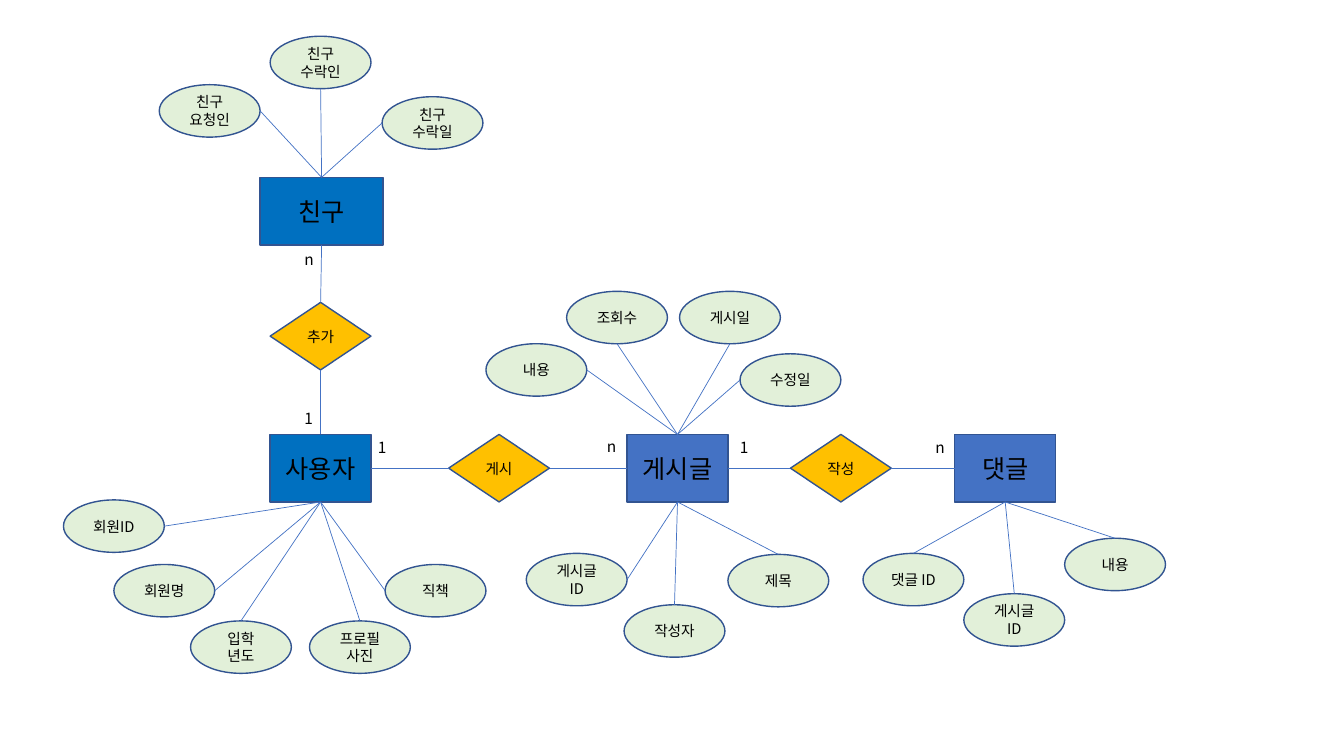
from dataclasses import dataclass

from lxml.etree import SubElement
from pptx import Presentation
from pptx.dml.color import RGBColor
from pptx.enum.shapes import MSO_CONNECTOR, MSO_SHAPE as SHAPE
from pptx.enum.text import MSO_ANCHOR, MSO_AUTO_SIZE, PP_ALIGN
from pptx.oxml.ns import qn
from pptx.util import Inches, Pt


@dataclass(frozen=True)
class Theme:
    """Colours, font and type sizes of the diagram."""
    font: str = "Noto Sans CJK KR"
    text: str = "000000"
    outline: str = "325491"
    link: str = "4472C4"
    account: str = "0070C0"
    board: str = "4472C4"
    relation: str = "FFC000"
    attribute: str = "E2F0D9"
    entity_size: float = 18
    small_size: float = 10.5
    label_size: float = 11


THEME = Theme()
NODE_HEIGHT, NODE_WIDTH, ELLIPSE_HEIGHT, LABEL_SIDE = 0.67, 1, 0.52, 0.29
MAIN_ROW = 4.31

# name: (left, top, width, fill)
ENTITIES = {
    "친구": (2.58, 1.76, 1.22, THEME.account),
    "사용자": (2.68, MAIN_ROW, NODE_WIDTH, THEME.account),
    "게시글": (6.22, MAIN_ROW, NODE_WIDTH, THEME.board),
    "댓글": (9.47, MAIN_ROW, NODE_WIDTH, THEME.board),
}

# name, left, top, (first entity, its side), (second entity, its side)
RELATIONS = [
    ("추가", 2.68, 3, ("사용자", "top"), ("친구", "bottom")),
    ("게시", 4.45, MAIN_ROW, ("사용자", "right"), ("게시글", "left")),
    ("작성", 7.84, MAIN_ROW, ("게시글", "right"), ("댓글", "left")),
]

# entity: [(attribute, left, top, side of the ellipse that is linked)]
ATTRIBUTES = {
    "친구": [
        ("친구\n요청인", 1.58, 0.84, "right"),
        ("친구\n수락인", 2.68, 0.36, "bottom"),
        ("친구\n수락일", 3.79, 0.96, "left"),
    ],
    "사용자": [
        ("회원ID", 0.63, 4.96, "right"),
        ("회원명", 1.13, 5.6, "right"),
        ("입학\n년도", 1.89, 6.16, "top"),
        ("프로필사진", 3.07, 6.16, "top"),
        ("직책", 3.82, 5.6, "left"),
    ],
    "게시글": [
        ("내용", 4.82, 3.41, "right"),
        ("조회수", 5.62, 2.89, "bottom"),
        ("게시일", 6.74, 2.89, "bottom"),
        ("수정일", 7.34, 3.51, "left"),
        ("게시글 ID", 5.22, 5.49, "right"),
        ("작성자", 6.19, 6, "top"),
        ("제목", 7.22, 5.5, "top"),
    ],
    "댓글": [
        ("댓글 ID", 8.56, 5.49, "top"),
        ("게시글 ID", 9.56, 5.89, "top"),
        ("내용", 10.56, 5.34, "top"),
    ],
}

# text, left, top
CARDINALITIES = [
    ("n", 2.92, 2.43), ("1", 2.92, 4.01), ("1", 3.65, 4.3),
    ("n", 5.92, 4.29), ("1", 7.24, 4.3), ("n", 9.18, 4.3),
]

# side: (share of width, share of height, site on a node, site on an ellipse)
SIDES = {
    "top": (0.5, 0, 0, 0),
    "left": (0, 0.5, 1, 2),
    "bottom": (0.5, 1, 2, 4),
    "right": (1, 0.5, 3, 6),
}


def write_text(shape, text, size, align=PP_ALIGN.CENTER, anchor=MSO_ANCHOR.MIDDLE, wrap=True):
    """Fill a shape with text, one paragraph for each line."""
    frame = shape.text_frame
    frame.text = text
    frame.word_wrap = wrap
    frame.vertical_anchor = anchor
    for paragraph in frame.paragraphs:
        paragraph.alignment = align
        for run in paragraph.runs:
            run.font.name = THEME.font
            run.font.size = Pt(size)
            run.font.color.rgb = RGBColor.from_string(THEME.text)
            SubElement(run.font._element, qn("a:ea"), typeface=THEME.font)


def add_node(slide, kind, text, box, fill, size=THEME.small_size):
    """Draw an outlined shape with centred text."""
    shape = slide.shapes.add_shape(kind, *map(Inches, box))
    shape.shadow.inherit = False
    shape.fill.solid()
    shape.fill.fore_color.rgb = RGBColor.from_string(fill)
    shape.line.color.rgb = RGBColor.from_string(THEME.outline)
    shape.line.width = Pt(1)
    write_text(shape, text, size)
    return shape


def side_point(shape, side):
    """Return the middle of one side of a shape."""
    across, down = SIDES[side][:2]
    return (round(shape.left + shape.width * across),
            round(shape.top + shape.height * down))


def link(slide, start, start_side, end, end_side):
    """Join the sides of two shapes with a glued line."""
    connector = slide.shapes.add_connector(
        MSO_CONNECTOR.STRAIGHT, *side_point(start, start_side), *side_point(end, end_side))
    connector.line.color.rgb = RGBColor.from_string(THEME.link)
    connector.line.width = Pt(0.5)
    SubElement(connector._element.spPr, qn("a:effectLst"))
    glue = connector._element.nvCxnSpPr.cNvCxnSpPr
    for tag, shape, side in (("a:stCxn", start, start_side), ("a:endCxn", end, end_side)):
        site = SIDES[side][3 if shape.auto_shape_type == SHAPE.OVAL else 2]
        SubElement(glue, qn(tag), id=str(shape.shape_id), idx=str(site))


def add_cardinality(slide, text, left, top):
    """Write the cardinality at one end of a relation."""
    label = slide.shapes.add_textbox(*map(Inches, (left, top, LABEL_SIDE, LABEL_SIDE)))
    write_text(label, text, THEME.label_size, align=PP_ALIGN.LEFT,
               anchor=MSO_ANCHOR.TOP, wrap=False)
    label.text_frame.auto_size = MSO_AUTO_SIZE.SHAPE_TO_FIT_TEXT


presentation = Presentation()
presentation.slide_width, presentation.slide_height = Inches(13.33), Inches(7.5)
slide = presentation.slides.add_slide(presentation.slide_layouts[6])

entities = {
    name: add_node(slide, SHAPE.FLOWCHART_PROCESS, name, (left, top, width, NODE_HEIGHT),
                   fill, THEME.entity_size)
    for name, (left, top, width, fill) in ENTITIES.items()
}

OPPOSITE = {"top": "bottom", "bottom": "top", "left": "right", "right": "left"}
for name, left, top, *ends in RELATIONS:
    diamond = add_node(slide, SHAPE.FLOWCHART_DECISION, name,
                       (left, top, NODE_WIDTH, NODE_HEIGHT), THEME.relation)
    for entity, side in ends:
        link(slide, entities[entity], side, diamond, OPPOSITE[side])

for entity, attributes in ATTRIBUTES.items():
    for name, left, top, side in attributes:
        ellipse = add_node(slide, SHAPE.OVAL, name,
                           (left, top, NODE_WIDTH, ELLIPSE_HEIGHT), THEME.attribute)
        entity_side = "top" if ellipse.top < entities[entity].top else "bottom"
        link(slide, entities[entity], entity_side, ellipse, side)

for cardinality in CARDINALITIES:
    add_cardinality(slide, *cardinality)

presentation.save("out.pptx")
